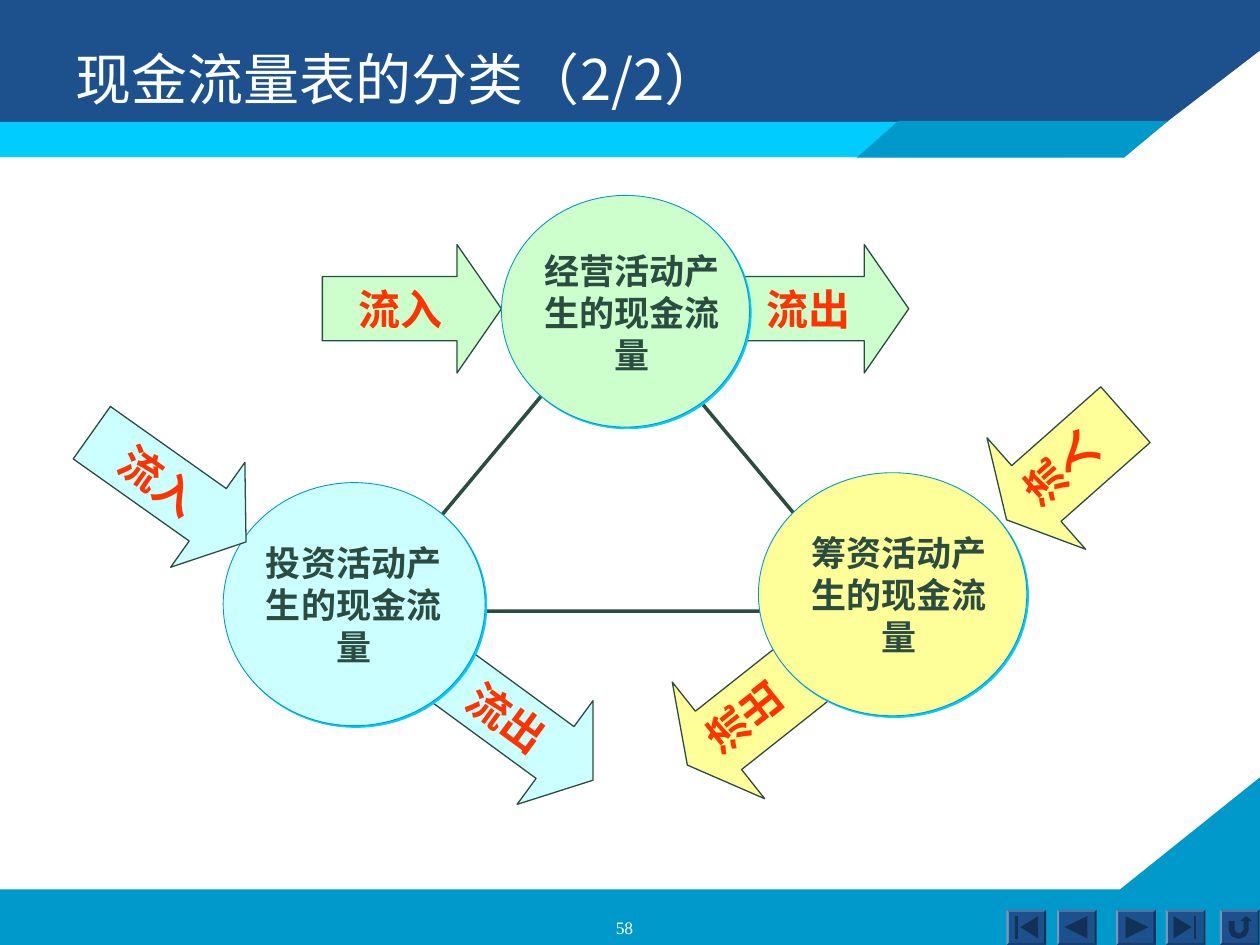
from lxml.etree import SubElement
from pptx import Presentation
from pptx.dml.color import RGBColor
from pptx.enum.shapes import MSO_SHAPE as Shape
from pptx.enum.text import MSO_ANCHOR as Anchor, MSO_AUTO_SIZE as AutoSize, PP_ALIGN as Align
from pptx.oxml.ns import qn
from pptx.util import Cm, Pt

NAVY = RGBColor(0x1D, 0x51, 0x8D)
DARK_NAVY = RGBColor(0x12, 0x31, 0x55)
BLUE = RGBColor(0x00, 0x99, 0xCB)
CYAN = RGBColor(0x00, 0xCC, 0xFF)
GREEN = RGBColor(0xCC, 0xFF, 0xCC)
PALE_CYAN = RGBColor(0xCC, 0xFF, 0xFF)
YELLOW = RGBColor(0xFF, 0xFF, 0x99)
INK = RGBColor(0x2A, 0x4C, 0x41)
RED = RGBColor(0xFF, 0x33, 0x00)
WHITE = RGBColor(0xFF, 0xFF, 0xFF)

WIDTH, HEIGHT = 25.4, 19.05
BUTTON_WIDTH, BUTTON_HEIGHT = 0.8, 0.71

# Activity: fill, oval box, label position (cm from the diagram corner)
ACTIVITIES = [
    ("经营活动产生的现金流量", GREEN, (8.61, 0, 5, 4.67), (9.22, 1.09)),
    ("投资活动产生的现金流量", PALE_CYAN, (3, 5.79, 5.28, 4.9), (3.61, 6.98)),
    ("筹资活动产生的现金流量", YELLOW, (13.79, 5.59, 5.41, 4.9), (14.6, 6.78)),
]
# Arrow: text, fill, box, rotation, head length
ARROWS_BEHIND = [
    ("流出", YELLOW, (12.11, 8.89, 3, 3.2), 51.6, 0.267),
    ("流出", PALE_CYAN, (7.01, 9.37, 3.81, 2.59), 36.2, 0.365),
    ("流出", GREEN, (13.21, 0.99, 3.61, 2.59), 0, 0.346),
    ("流入", GREEN, (5, 0.99, 3.61, 2.59), 0, 0.346),
]
ARROWS_IN_FRONT = [
    ("流入", PALE_CYAN, (0, 4.59, 3.81, 2.59), 35.3, 0.365),
    ("流入", YELLOW, (18.49, 3.88, 3, 3.2), 48.5, 0.267),
]

PREVIOUS = [[(0.15, 0.35), (0.61, 0.13), (0.61, 0.58)]]
FIRST = [[(0.28, 0.35), (0.64, 0.13), (0.64, 0.58)],
         [(0.18, 0.13), (0.23, 0.13), (0.23, 0.58), (0.18, 0.58)]]
RETURN = [[(0.18, 0.23), (0.3, 0.23), (0.3, 0.41), (0.35, 0.47), (0.42, 0.47),
           (0.48, 0.41), (0.48, 0.23), (0.41, 0.23), (0.53, 0.13), (0.65, 0.23),
           (0.58, 0.23), (0.58, 0.41), (0.53, 0.53), (0.42, 0.58), (0.35, 0.58),
           (0.23, 0.53), (0.18, 0.41)]]


def mirrored(icon):
    return [[(BUTTON_WIDTH - x, y) for x, y in outline] for outline in icon]


def paint(shape, fill=None, line=None, line_width=0.75):
    shape.shadow.inherit = False
    if fill is None:
        shape.fill.background()
    else:
        shape.fill.solid()
        shape.fill.fore_color.rgb = fill
    if line is None:
        shape.line.fill.background()
    else:
        shape.line.color.rgb = line
        shape.line.width = Pt(line_width)


def add_preset(page, kind, left, top, width, height, *paint_args):
    shape = page.shapes.add_shape(kind, Cm(left), Cm(top), Cm(width), Cm(height))
    paint(shape, *paint_args)
    return shape


def add_outline(page, left, top, points, fill):
    """Add a closed polygon whose points are relative to left and top."""
    corners = [(Cm(left + x), Cm(top + y)) for x, y in points]
    builder = page.shapes.build_freeform(*corners[0])
    builder.add_line_segments(corners[1:], close=True)
    paint(builder.convert_to_shape(), fill)


def write(frame, text, size, color, font="Arial", bold=False, align=Align.CENTER):
    frame.text = text
    para = frame.paragraphs[0]
    para.alignment = align
    span = para.runs[0]
    span.font.name, span.font.size, span.font.bold = font, Pt(size), bold
    span.font.color.rgb = color
    SubElement(span.font._element, qn("a:ea"), typeface=font)


def set_margins(frame, horizontal, vertical):
    frame.margin_left = frame.margin_right = Cm(horizontal)
    frame.margin_top = frame.margin_bottom = Cm(vertical)


def add_background(page, width, height):
    add_outline(page, 0, height - 3.38,
                [(0, 2.26), (22.58, 2.26), (width, 0), (width, 3.38), (0, 3.38)], BLUE)
    add_outline(page, 0, 0,
                [(0, 0), (width, 0), (width, 1.02), (22.66, 3.12), (0, 3.15)], NAVY)
    add_preset(page, Shape.RECTANGLE, 0, 2.46, 21.44, 0.71, CYAN)
    add_outline(page, 17.27, 2.44, [(0, 0.74), (5.39, 0.74), (6.28, 0), (0.84, 0)], BLUE)


def add_navigation(page, left, top):
    buttons = [(0, FIRST), (1.02, PREVIOUS), (2.21, mirrored(PREVIOUS)),
               (3.21, mirrored(FIRST)), (4.3, RETURN)]
    for offset, icon in buttons:
        button = add_preset(page, Shape.BEVEL, left + offset, top,
                            BUTTON_WIDTH, BUTTON_HEIGHT, NAVY)
        button.adjustments[0] = 0.06
        for outline in icon:
            add_outline(page, left + offset, top, outline, DARK_NAVY)


def add_title(page, text, left, top, width, height):
    title = page.shapes.title
    title.left, title.top, title.width, title.height = map(Cm, (left, top, width, height))
    frame = title.text_frame
    frame.auto_size = AutoSize.NONE
    frame.vertical_anchor = Anchor.TOP
    write(frame, text, 32, WHITE, "Noto Sans CJK SC", align=Align.LEFT)
    page.shapes._spTree.append(title._element)  # in front of the header band


def add_arrow(page, left, top, text, fill, box, rotation, head):
    x, y, width, height = box
    points_down = height > width
    kind = Shape.DOWN_ARROW if points_down else Shape.RIGHT_ARROW
    arrow = add_preset(page, kind, left + x, top + y, width, height, fill, INK)
    arrow.adjustments[0], arrow.adjustments[1] = 0.5, head
    arrow.rotation = rotation
    frame = arrow.text_frame
    frame.word_wrap = False
    frame.vertical_anchor = Anchor.MIDDLE
    write(frame, text, 24, RED, bold=True)
    if points_down:
        set_margins(frame, 0.13, 0.25)
        body = frame._txBody.bodyPr
        body.set("vert", "eaVert")
        body.set("rot", "10800000")
    else:
        set_margins(frame, 0.25, 0.13)


def add_oval(page, left, top, box, fill):
    x, y, width, height = box
    oval = add_preset(page, Shape.OVAL, left + x, top + y, width, height, fill, BLUE, 0.5)
    effects = oval._element.spPr.find(qn("a:effectLst"))
    shadow = SubElement(effects, qn("a:outerShdw"), dist=str(Pt(1.4)), dir="2700000",
                        algn="ctr", rotWithShape="0")
    SubElement(shadow, qn("a:srgbClr"), val=str(CYAN))


def add_text(page, text, left, top, width, height, size, color, **style):
    box = page.shapes.add_textbox(Cm(left), Cm(top), Cm(width), Cm(height))
    box.text_frame.word_wrap = True
    write(box.text_frame, text, size, color, **style)
    return box.text_frame


def add_cash_flow_diagram(page, left, top):
    for arrow in ARROWS_BEHIND:
        add_arrow(page, left, top, *arrow)
    add_preset(page, Shape.ISOSCELES_TRIANGLE, left + 5.79, top + 2.18, 10.36, 6.2,
               None, INK, 2)
    for _, fill, box, _ in ACTIVITIES:
        add_oval(page, left, top, box, fill)
    for text, _, _, (x, y) in ACTIVITIES:
        frame = add_text(page, text, left + x, top + y, 4.04, 2.54, 20, INK, bold=True)
        set_margins(frame, 0, 0)
        frame.vertical_anchor = Anchor.MIDDLE
    for arrow in ARROWS_IN_FRONT:
        add_arrow(page, left, top, *arrow)


def main():
    deck = Presentation()
    deck.slide_width, deck.slide_height = Cm(WIDTH), Cm(HEIGHT)
    page = deck.slides.add_slide(deck.slide_layouts[5])
    add_background(page, WIDTH, HEIGHT)
    add_navigation(page, 20.29, 18.34)
    add_title(page, "现金流量表的分类（2/2）", 1.27, 0.76, 22.86, 3.18)
    add_cash_flow_diagram(page, 1.5, 3.94)
    add_text(page, "58", 9.63, 18.36, 5.92, 0.46, 10, WHITE, font="Times New Roman")
    deck.save("out.pptx")


if __name__ == "__main__":
    main()
